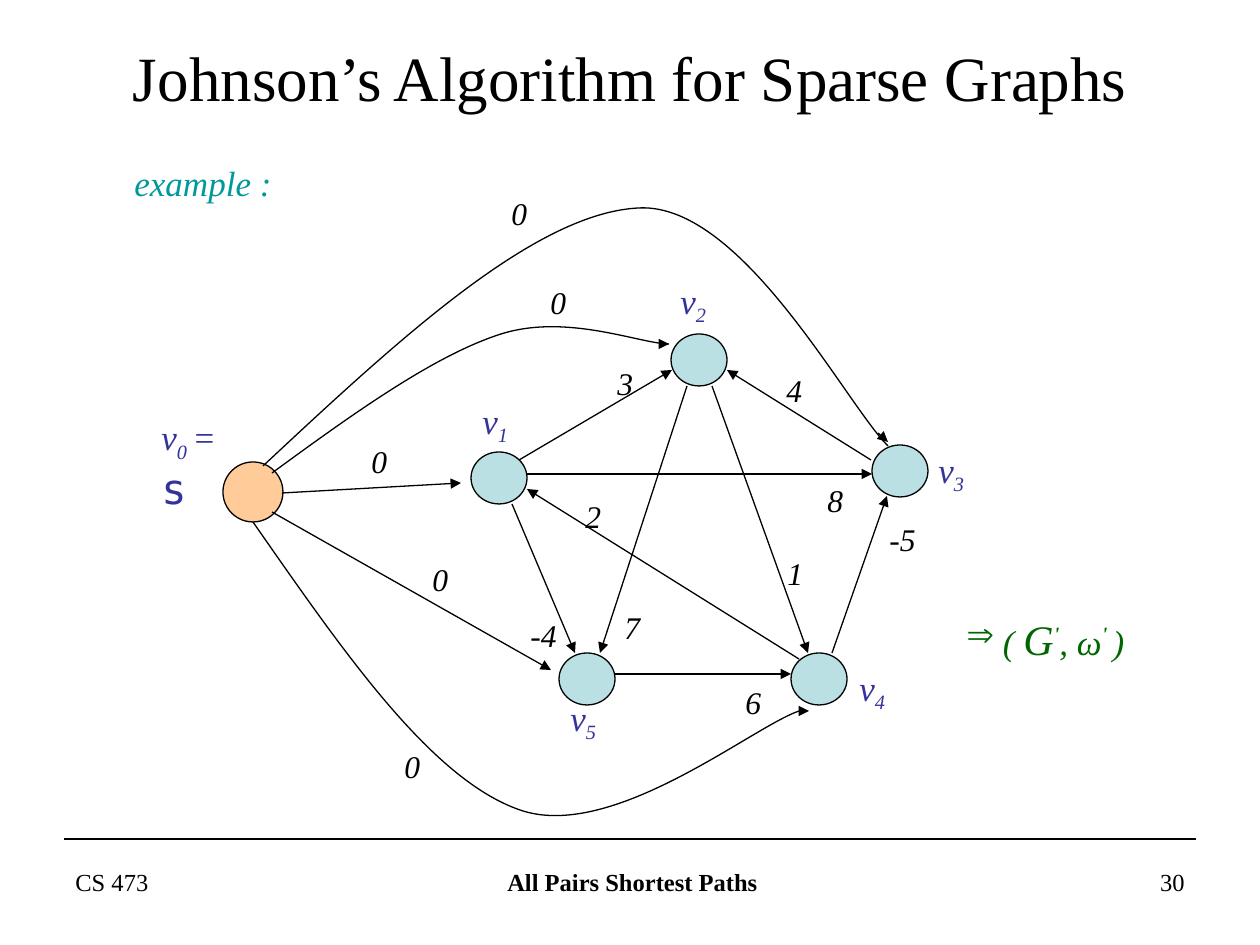
import pptx
import pptx.dml.color
import pptx.enum.shapes
import pptx.enum.text
import pptx.oxml.ns
import pptx.oxml.xmlchemy
import pptx.util
from lxml import etree

RGBColor = pptx.dml.color.RGBColor
BLACK = RGBColor(0x00, 0x00, 0x00)
TEAL = RGBColor(0x00, 0x99, 0x99)
INDIGO = RGBColor(0x33, 0x33, 0x99)
GREEN = RGBColor(0x00, 0x66, 0x00)
PALE_BLUE = RGBColor(0xBB, 0xE0, 0xE3)
PEACH = RGBColor(0xFF, 0xCC, 0x99)

SERIF = "Times New Roman"
MONO = "DejaVu Sans Mono"
ALIGN = pptx.enum.text.PP_ALIGN
ANCHOR = pptx.enum.text.MSO_ANCHOR
EMU_PER_PX = 914400 / 126
NODE_SIZE = (56, 52)
LINE_WIDTH = pptx.util.Pt(0.75)

# Number: (node left and top, label left and top)
VERTICES = {
    1: ((471, 452), (470, 393)),
    2: ((671, 334), (668, 273)),
    3: ((872, 445), (926, 442)),
    4: ((791, 653), (847, 660)),
    5: ((559, 653), (558, 690)),
}

EDGES = [
    ((519, 460), (672, 370)),
    ((871, 460), (727, 370)),
    ((832, 653), (887, 496)),
    ((615, 674), (791, 674)),
    ((512, 504), (575, 653)),
    ((687, 386), (600, 653)),
    ((712, 386), (808, 653)),
    ((799, 659), (527, 489)),
    ((527, 474), (872, 474)),
    ((282, 493), (461, 483)),
    ((272, 512), (551, 670)),
]

# Each curve: start, then two control points and an end per segment; then its arrow
CURVED_EDGES = [
    ([(263, 466), (399, 339), (536, 212), (640, 208), (743, 204), (847, 406), (888, 446)],
     ((878, 433), (888, 442))),
    ([(272, 473), (354, 413), (435, 355), (501, 334), (567, 313), (641, 344), (669, 344)],
     ((660, 344), (669, 344))),
    ([(253, 522), (341, 648), (430, 779), (520, 810), (612, 842), (752, 727), (799, 711)],
     ((799, 711), (809, 711))),
]

WEIGHTS = [
    ("2", 573, 491), ("1", 775, 548), ("4", 774, 365), ("3", 605, 358),
    ("8", 815, 475), ("-5", 877, 514), ("-4", 518, 610), ("6", 733, 677),
    ("7", 612, 602), ("0", 499, 188), ("0", 538, 277), ("0", 392, 741),
    ("0", 359, 436), ("0", 420, 554),
]


def px(length):
    return pptx.util.Emu(round(length * EMU_PER_PX))


def add_text(slide, box, runs, size, color=BLACK, align=ALIGN.LEFT, anchor=ANCHOR.TOP, italic=False):
    """Each run is its text and a dict that may hold size, font, bold, italic, baseline."""
    frame = slide.shapes.add_textbox(*map(px, box)).text_frame
    frame.word_wrap = True
    frame.vertical_anchor = anchor
    paragraph = frame.paragraphs[0]
    paragraph.alignment = align
    for text, style in runs:
        run = paragraph.add_run()
        run.text = text
        run.font.size = pptx.util.Pt(style.get("size", size))
        run.font.name = style.get("font", SERIF)
        run.font.bold = style.get("bold", False)
        run.font.italic = style.get("italic", italic)
        run.font.color.rgb = color
        if "baseline" in style:
            run.font._element.set("baseline", str(style["baseline"] * 1000))
    return paragraph


def add_bullet(paragraph, character, color):
    properties = paragraph._p.get_or_add_pPr()
    properties.set("marL", "0")
    properties.set("indent", "0")
    bullet_color = etree.SubElement(properties, pptx.oxml.ns.qn("a:buClr"))
    etree.SubElement(bullet_color, pptx.oxml.ns.qn("a:srgbClr"), val=str(color))
    etree.SubElement(properties, pptx.oxml.ns.qn("a:buChar"), char=character)


def add_node(slide, position, size, color):
    node = slide.shapes.add_shape(
        pptx.enum.shapes.MSO_SHAPE.OVAL, *map(px, position + size))
    node.shadow.inherit = False
    node.fill.solid()
    node.fill.fore_color.rgb = color
    node.line.color.rgb = BLACK
    node.line.width = LINE_WIDTH


def add_line(slide, start, end, arrow=True):
    line = slide.shapes.add_connector(
        pptx.enum.shapes.MSO_CONNECTOR.STRAIGHT, *map(px, start + end))
    line.line.color.rgb = BLACK
    line.line.width = LINE_WIDTH
    if arrow:
        etree.SubElement(line.line._get_or_add_ln(), pptx.oxml.ns.qn("a:tailEnd"), type="triangle")
    etree.SubElement(line._element.spPr, pptx.oxml.ns.qn("a:effectLst"))


def add_curve(slide, points):
    """Draw a polyline through all points, then turn every three segments into one Bézier."""
    start, *rest = [(px(x), px(y)) for x, y in points]
    builder = slide.shapes.build_freeform(*start, scale=1.0)
    builder.add_line_segments(rest, close=False)
    curve = builder.convert_to_shape()
    segments = list(curve._element.iter(pptx.oxml.ns.qn("a:lnTo")))
    for first in range(0, len(segments), 3):
        bezier = etree.Element(pptx.oxml.ns.qn("a:cubicBezTo"))
        segments[first].addprevious(bezier)
        for segment in segments[first:first + 3]:
            bezier.append(segment[0])
            segment.getparent().remove(segment)
    curve.shadow.inherit = False
    curve.fill.background()
    curve.line.color.rgb = BLACK
    curve.line.width = LINE_WIDTH


def add_footer(slide):
    add_line(slide, (64, 839), (1196, 839), arrow=False)
    add_text(slide, (63, 861, 294, 66), [("CS 473", {})], 14)
    add_text(slide, (433, 861, 399, 66), [("All Pairs Shortest Paths", {"bold": True})],
             14, align=ALIGN.CENTER)
    add_text(slide, (903, 861, 294, 66), [("30", {})], 14, align=ALIGN.RIGHT)


def add_graph(slide):
    for number, (position, label) in VERTICES.items():
        add_node(slide, position, NODE_SIZE, PALE_BLUE)
        add_text(slide, label + (56, 60), [("v", {}), (str(number), {"baseline": -25})],
                 20, INDIGO, italic=True)
    add_node(slide, (223, 462), (60, 60), PEACH)
    source_label = [("v", {}), ("0 ", {"baseline": -25}), ("= ", {}),
                    ("s", {"size": 24, "font": MONO, "italic": False})]
    add_text(slide, (149, 409, 108, 68), source_label, 20, INDIGO, italic=True)

    for start, end in EDGES:
        add_line(slide, start, end)
    for points, arrow in CURVED_EDGES:
        add_curve(slide, points)
        add_line(slide, *arrow)
    for weight, left, top in WEIGHTS:
        width = 30 + 11 * len(weight)
        add_text(slide, (left, top, width, 50), [(weight, {})], 18, italic=True)


def main():
    presentation = pptx.Presentation()
    presentation.slide_width = px(1260)
    presentation.slide_height = px(945)
    slide = presentation.slides.add_slide(presentation.slide_layouts[6])

    add_footer(slide)
    add_text(slide, (63, 38, 1134, 77), [("Johnson’s Algorithm for Sparse Graphs", {})],
             36, align=ALIGN.CENTER, anchor=ANCHOR.MIDDLE)
    add_text(slide, (122, 155, 168, 55), [("example :", {})], 20, TEAL, italic=True)
    add_graph(slide)

    prime = {"bold": True, "baseline": 40}
    reweighted = add_text(
        slide, (954, 607, 200, 63),
        [(" ( ", {}), ("G", {"size": 24}), ("'", prime), (", ω", {}), ("' ", prime), (")", {})],
        20, GREEN, italic=True)
    add_bullet(reweighted, "⇒", GREEN)

    presentation.save("out.pptx")


if __name__ == "__main__":
    main()
